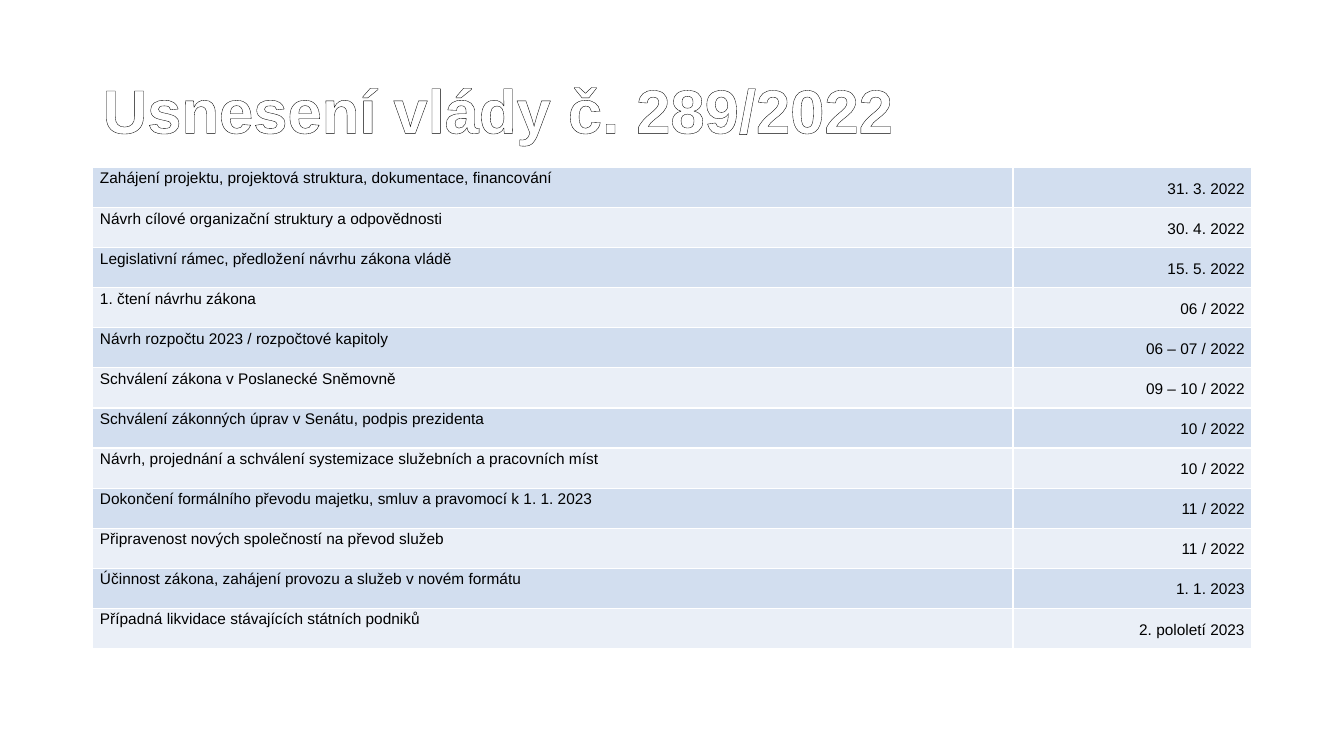
import pptx
import pptx.dml.color
import pptx.enum.text
import pptx.oxml
import pptx.oxml.ns
import pptx.util
from pptx.util import Cm, Pt

HEADING = "Usnesení vlády č. 289/2022"
MILESTONES = [
    ("Zahájení projektu, projektová struktura, dokumentace, financování", "31. 3. 2022"),
    ("Návrh cílové organizační struktury a odpovědnosti", "30. 4. 2022"),
    ("Legislativní rámec, předložení návrhu zákona vládě", "15. 5. 2022"),
    ("1. čtení návrhu zákona", "06 / 2022"),
    ("Návrh rozpočtu 2023 / rozpočtové kapitoly", "06 – 07 / 2022"),
    ("Schválení zákona v Poslanecké Sněmovně", "09 – 10 / 2022"),
    ("Schválení zákonných úprav v Senátu, podpis prezidenta", "10 / 2022"),
    ("Návrh, projednání a schválení systemizace služebních a pracovních míst", "10 / 2022"),
    ("Dokončení formálního převodu majetku, smluv a pravomocí k 1. 1. 2023", "11 / 2022"),
    ("Připravenost nových společností na převod služeb", "11 / 2022"),
    ("Účinnost zákona, zahájení provozu a služeb v novém formátu", "1. 1. 2023"),
    ("Případná likvidace stávajících státních podniků", "2. pololetí 2023"),
]
BAND_FILLS = ("D2DEEF", "EAEFF7")
WHITE, BLACK = "FFFFFF", "000000"

LEFT = Cm(2.34)
TABLE_TOP = Cm(4.22)
COLUMN_WIDTHS = (Cm(23.19), Cm(6.02))
ROW_HEIGHT = Cm(1.01)

ALIGN = pptx.enum.text.PP_ALIGN
ANCHOR = pptx.enum.text.MSO_ANCHOR
# Alignment and anchor of the task column and the date column
COLUMN_LAYOUT = ((ALIGN.JUSTIFY, ANCHOR.TOP), (ALIGN.RIGHT, ANCHOR.MIDDLE))


def rgb(color):
    return pptx.dml.color.RGBColor.from_string(color)


def outline(tag, color, points):
    """Return a solid line element, for a text outline or a cell border."""
    return pptx.oxml.parse_xml(
        f'<a:{tag} {pptx.oxml.ns.nsdecls("a")} w="{Pt(points)}"><a:solidFill>'
        f'<a:srgbClr val="{color}"/></a:solidFill></a:{tag}>'
    )


def style_run(run, size, color, bold=False):
    run.font.name = "Arial"
    run.font.size = Pt(size)
    run.font.bold = bold
    run.font.color.rgb = rgb(color)


def add_heading(slide):
    box = slide.shapes.add_textbox(LEFT, Cm(1.02), Cm(31.01), Cm(3.68))
    frame = box.text_frame
    frame.word_wrap = True
    frame.vertical_anchor = ANCHOR.MIDDLE
    frame.text = HEADING
    line = frame.paragraphs[0]
    line.line_spacing = 0.9
    style_run(line.runs[0], 44, WHITE, bold=True)
    line.runs[0].font._element.insert(0, outline("ln", BLACK, 0.75))


def fill_cell(cell, text, fill, align, anchor):
    cell.margin_left = cell.margin_right = Cm(0.18)
    cell.margin_top = cell.margin_bottom = 0
    cell.vertical_anchor = anchor
    cell.fill.solid()
    cell.fill.fore_color.rgb = rgb(fill)
    borders = cell._tc.get_or_add_tcPr()
    for position, side in enumerate(("lnL", "lnR", "lnT", "lnB")):
        borders.insert(position, outline(side, WHITE, 1))
    cell.text_frame.text = text
    entry = cell.text_frame.paragraphs[0]
    entry.alignment = align
    entry.line_spacing = 1.15
    entry.space_after = Pt(2)
    style_run(entry.runs[0], 11, BLACK)


def add_schedule(slide):
    schedule = slide.shapes.add_table(
        len(MILESTONES), len(COLUMN_WIDTHS), LEFT, TABLE_TOP,
        sum(COLUMN_WIDTHS), ROW_HEIGHT * len(MILESTONES),
    ).table
    schedule.first_row = schedule.horz_banding = False
    for column, width in zip(schedule.columns, COLUMN_WIDTHS):
        column.width = width
    for index, milestone in enumerate(MILESTONES):
        schedule.rows[index].height = ROW_HEIGHT
        fill = BAND_FILLS[index % 2]
        for cell, text, layout in zip(schedule.rows[index].cells, milestone, COLUMN_LAYOUT):
            fill_cell(cell, text, fill, *layout)


def main():
    deck = pptx.Presentation()
    deck.slide_width, deck.slide_height = Cm(33.87), Cm(19.05)
    slide = deck.slides.add_slide(deck.slide_layouts[6])
    add_heading(slide)
    add_schedule(slide)
    deck.save("out.pptx")


if __name__ == "__main__":
    main()
